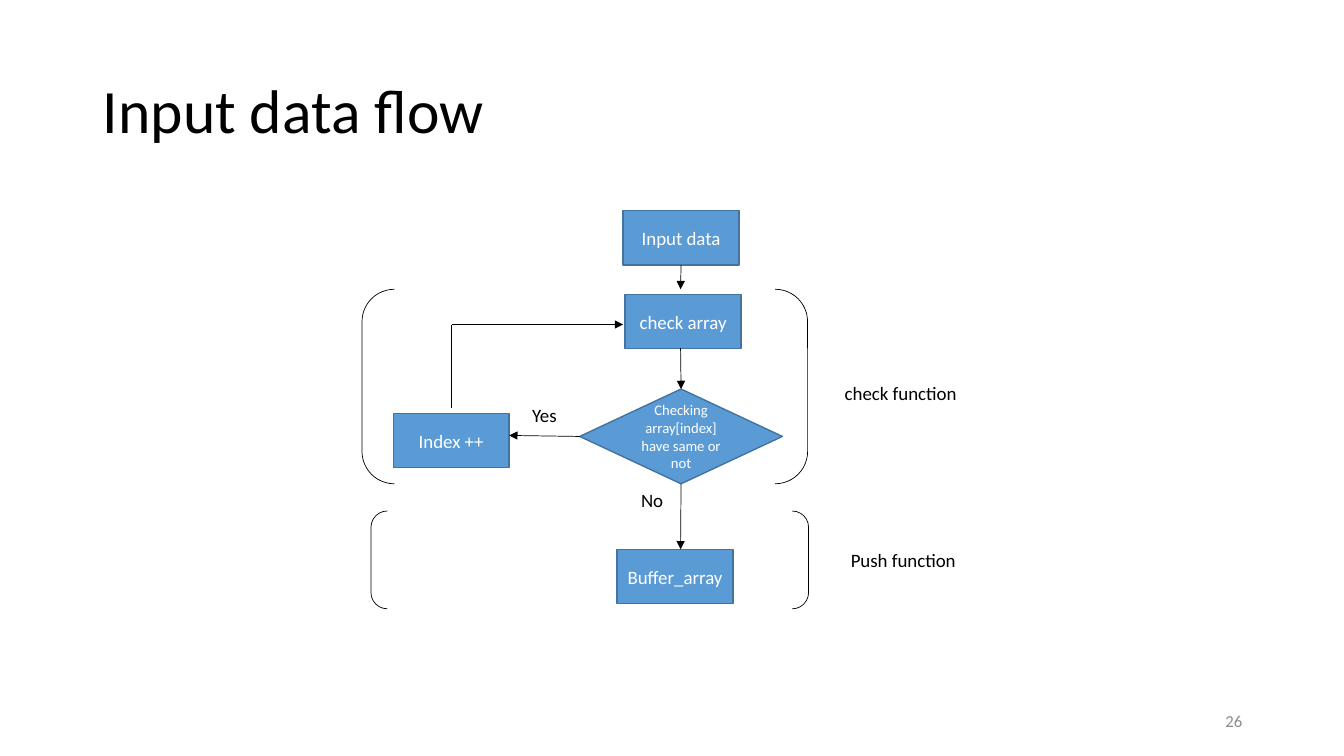
from pptx import Presentation
from pptx.dml.color import RGBColor
from pptx.enum import shapes, text
from pptx.oxml.ns import qn
from pptx.util import Inches, Pt
from lxml import etree

SHAPE = shapes.MSO_SHAPE
ALIGN = text.PP_ALIGN
MIDDLE = text.MSO_ANCHOR.MIDDLE
TOP, LEFT, BOTTOM = 0, 1, 2


def color(value):
    return RGBColor.from_string(value)


class FlowPage:
    font = "Calibri"
    ink, paper, muted = "000000", "FFFFFF", "8C8C8C"
    fill, edge = "5B9BD5", "43739E"

    def __init__(self, deck):
        self.page = deck.slides.add_slide(deck.slide_layouts[5])

    def set_words(self, shape, words, size, ink, align=ALIGN.LEFT):
        frame = shape.text_frame
        frame.text = words
        frame.word_wrap = True
        para = frame.paragraphs[0]
        para.alignment = align
        for span in para.runs:
            span.font.name = self.font
            span.font.size = Pt(size)
            span.font.color.rgb = color(ink)
        return frame

    def title(self, words):
        box = self.page.shapes.title
        box.left, box.top = Inches(0.92), Inches(0.4)
        box.width, box.height = Inches(11.5), Inches(1.45)
        frame = self.set_words(box, words, 44, self.ink)
        frame.auto_size = text.MSO_AUTO_SIZE.NONE
        frame.vertical_anchor = MIDDLE
        frame.paragraphs[0].line_spacing = 0.9

    def preset(self, kind, left, top, width, height, line, weight):
        shape = self.page.shapes.add_shape(
            kind, Inches(left), Inches(top), Inches(width), Inches(height))
        shape.shadow.inherit = False
        shape.line.color.rgb = color(line)
        shape.line.width = Pt(weight)
        return shape

    def step(self, words, left, top, width=1.15, height=0.54,
             kind=SHAPE.RECTANGLE, size=13.5):
        box = self.preset(kind, left, top, width, height, self.edge, 1)
        box.fill.solid()
        box.fill.fore_color.rgb = color(self.fill)
        frame = self.set_words(box, words, size, self.paper, ALIGN.CENTER)
        frame.vertical_anchor = MIDDLE
        return box

    def brackets(self, left, top, width, height):
        pair = self.preset(SHAPE.DOUBLE_BRACKET, left, top, width, height, self.ink, 0.5)
        pair.fill.background()

    def label(self, words, left, top, width):
        box = self.page.shapes.add_textbox(
            Inches(left), Inches(top), Inches(width), Inches(0.33))
        self.set_words(box, words, 13.5, self.ink)

    def number(self, words):
        box = self.page.shapes.add_textbox(
            Inches(9.42), Inches(6.95), Inches(3), Inches(0.4))
        frame = self.set_words(box, words, 12, self.muted, ALIGN.RIGHT)
        frame.vertical_anchor = MIDDLE

    def line(self, start, end, source=None, target=None, arrow=True):
        """Draw a line; source and target are (shape, side) pairs to join."""
        points = [Inches(value) for value in (*start, *end)]
        link = self.page.shapes.add_connector(shapes.MSO_CONNECTOR.STRAIGHT, *points)
        link.line.color.rgb = color(self.ink)
        link.line.width = Pt(0.5)
        if source:
            link.begin_connect(*source)
        if target:
            link.end_connect(*target)
        properties = link.element.spPr
        if arrow:
            etree.SubElement(properties.find(qn("a:ln")), qn("a:tailEnd"), type="triangle")
        etree.SubElement(properties, qn("a:effectLst"))


def main():
    deck = Presentation()
    deck.slide_width, deck.slide_height = Inches(13.33), Inches(7.5)
    flow = FlowPage(deck)
    flow.title("Input data flow")

    input_data = flow.step("Input data", 6.18, 2.09)
    flow.step("check array", 6.2, 2.92)
    decision = flow.step("Checking array[index] have same or not", 5.75, 3.86,
                         2.01, 0.94, SHAPE.FLOWCHART_DECISION, 10.5)
    flow.step("Index ++", 3.9, 4.1)
    flow.step("Buffer_array", 6.12, 5.45)

    flow.line((6.76, 2.63), (6.75, 2.87), source=(input_data, BOTTOM))
    flow.line((6.75, 3.45), (6.75, 3.86), target=(decision, TOP))
    flow.line((5.75, 4.33), (5.05, 4.32), source=(decision, LEFT))
    flow.line((6.75, 4.8), (6.75, 5.45), source=(decision, BOTTOM))
    flow.line((4.48, 4.05), (4.48, 3.22), arrow=False)
    flow.line((4.48, 3.22), (6.18, 3.22))

    flow.brackets(3.59, 2.87, 4.42, 1.93)
    flow.brackets(3.68, 5.07, 4.34, 0.97)

    for words, left, top, width in (
        ("Yes", 5.18, 3.96, 0.57),
        ("No", 6.26, 4.8, 0.43),
        ("check function", 8.28, 3.74, 1.43),
        ("Push function", 8.34, 5.39, 1.3),
    ):
        flow.label(words, left, top, width)
    flow.number("26")
    deck.save("out.pptx")


if __name__ == "__main__":
    main()
